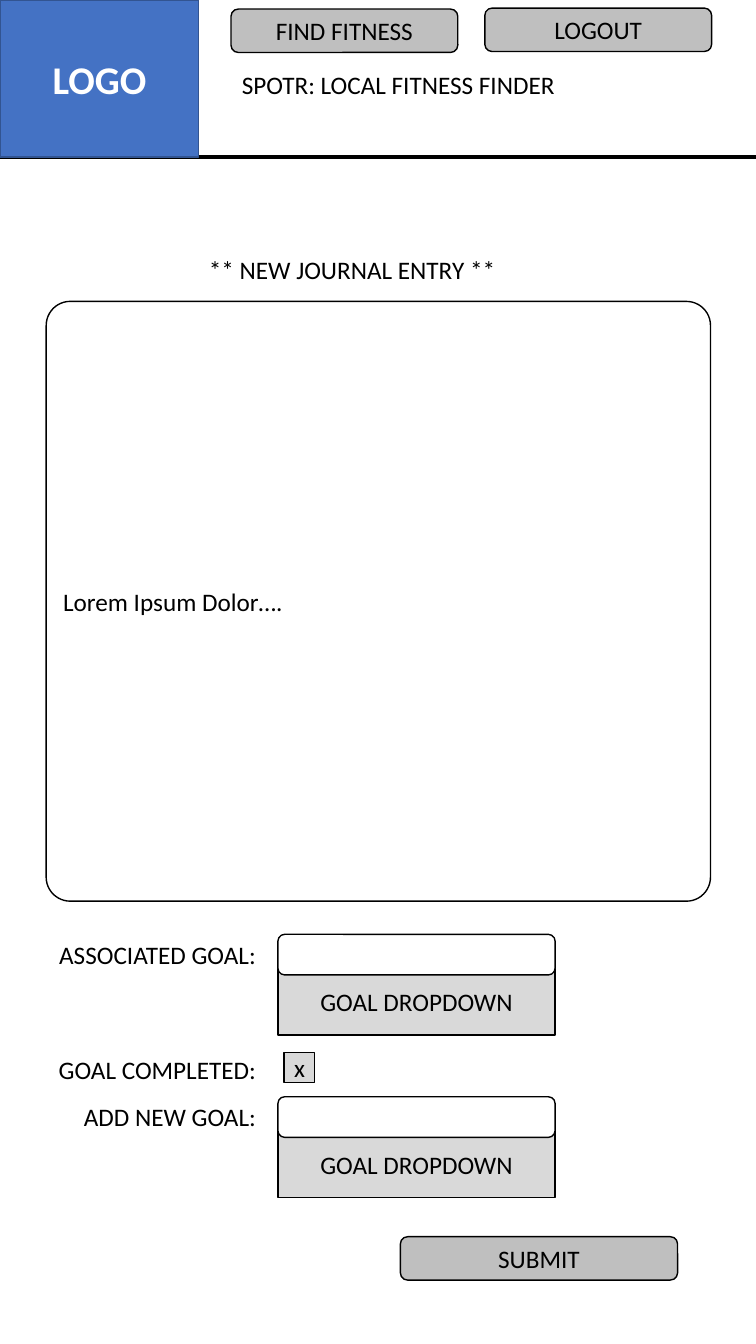
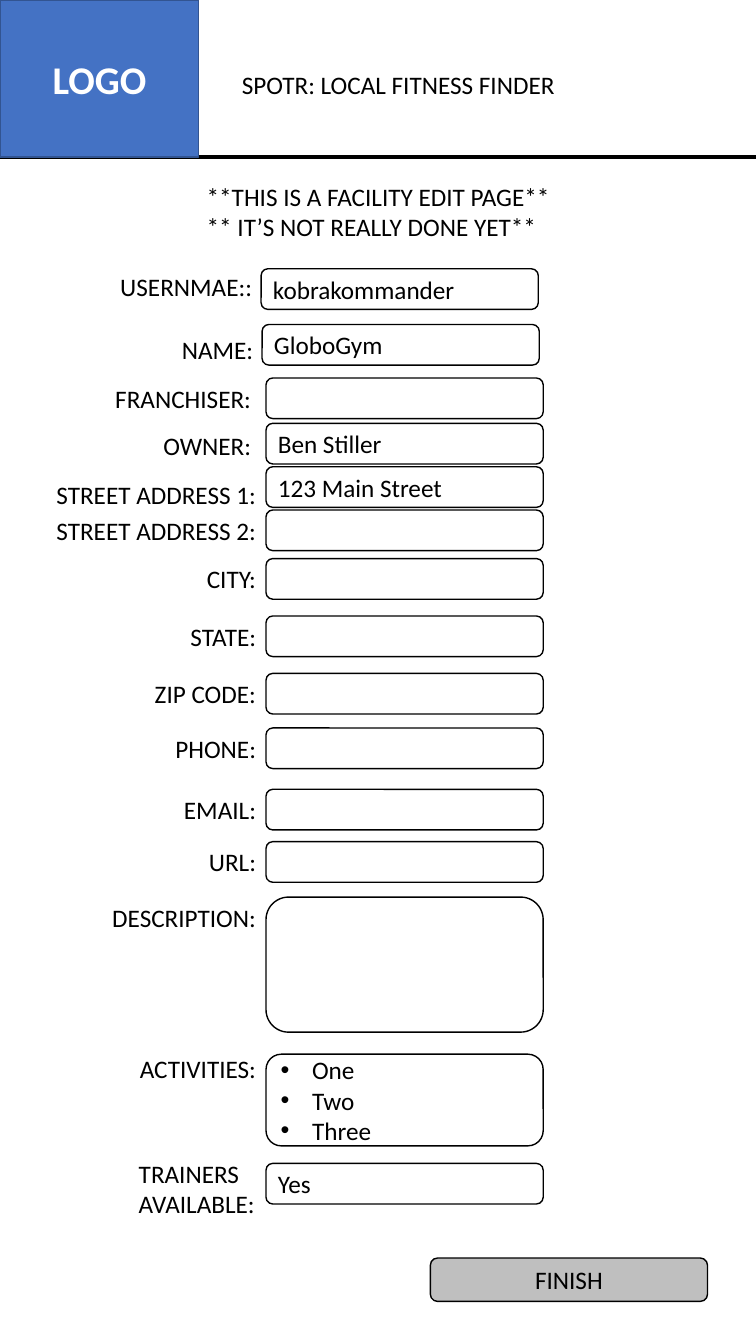
from dataclasses import dataclass

from lxml import etree
from pptx import Presentation
from pptx import util as u
from pptx.dml import color
from pptx.enum import shapes, text
from pptx.oxml import ns

LEFT, CENTER, RIGHT = text.PP_ALIGN.LEFT, text.PP_ALIGN.CENTER, text.PP_ALIGN.RIGHT
RECT = shapes.MSO_SHAPE.RECTANGLE
ROUNDED = shapes.MSO_SHAPE.ROUNDED_RECTANGLE


@dataclass(frozen=True)
class Theme:
    font: str = "Calibri"
    size: int = 18
    logo_size: int = 28
    ink: str = "000000"
    paper: str = "FFFFFF"
    accent: str = "4472C4"
    accent_edge: str = "325491"
    button: str = "BFBFBF"
    option: str = "D9D9D9"
    width: float = 540
    height: float = 960
    header: float = 112.3
    field_width: float = 198
    row: float = 29
    indent: float = 22.5


class Wireframe:
    """Draws the form pages of a mobile wireframe, with all lengths in points."""

    def __init__(self, theme):
        self.theme = theme
        self.deck = Presentation()
        self.deck.slide_width = u.Pt(theme.width)
        self.deck.slide_height = u.Pt(theme.height)
        self.page = None

    def style(self, frame, align=LEFT, size=None, ink=None, bold=False):
        for para in frame.paragraphs:
            para.alignment = align
            para.space_before = u.Pt(0)
            for span in para.runs:
                span.font.name = self.theme.font
                span.font.size = u.Pt(size or self.theme.size)
                span.font.color.rgb = color.RGBColor.from_string(ink or self.theme.ink)
                span.font.bold = bold

    def place(self, holder, left, top, width, height):
        holder.left, holder.top = u.Pt(left), u.Pt(top)
        holder.width, holder.height = u.Pt(width), u.Pt(height)
        holder.text_frame.auto_size = text.MSO_AUTO_SIZE.NONE

    def start(self, layout, heading, left, top, width, height):
        self.page = self.deck.slides.add_slide(self.deck.slide_layouts[layout])
        title = self.page.shapes.title
        self.place(title, left, top, width, height)
        title.text_frame.word_wrap = False
        title.text_frame.vertical_anchor = text.MSO_ANCHOR.TOP
        title.text_frame.paragraphs[0].text = heading
        self.style(title.text_frame)
        self.header()

    def header(self):
        theme = self.theme
        edge = u.Pt(theme.header)
        rule = self.page.shapes.add_connector(
            shapes.MSO_CONNECTOR.STRAIGHT, 0, edge, u.Pt(theme.width), edge)
        rule.line.color.rgb = color.RGBColor.from_string(theme.ink)
        rule.line.width = u.Pt(3)
        etree.SubElement(rule._element.spPr, ns.qn("a:effectLst"))
        self.label("SPOTR: LOCAL FITNESS FINDER", 406, 46, 240.4, align=LEFT)
        logo = self.box(RECT, 0, 0, 142, theme.header, theme.accent, "LOGO", CENTER)
        logo.line.color.rgb = color.RGBColor.from_string(theme.accent_edge)
        self.style(logo.text_frame, CENTER, theme.logo_size, theme.paper, True)

    def label(self, words, right, top, width, height=None, align=RIGHT):
        box = self.page.shapes.add_textbox(
            u.Pt(right - width), u.Pt(top), u.Pt(width), u.Pt(height or self.theme.row))
        frame = box.text_frame
        frame.word_wrap = False
        frame.auto_size = text.MSO_AUTO_SIZE.SHAPE_TO_FIT_TEXT
        frame.text = words
        self.style(frame, align)

    def box(self, kind, left, top, width, height, fill, words="", align=LEFT):
        box = self.page.shapes.add_shape(
            kind, u.Pt(left), u.Pt(top), u.Pt(width), u.Pt(height))
        box.shadow.inherit = False
        box.fill.solid()
        box.fill.fore_color.rgb = color.RGBColor.from_string(fill)
        box.line.color.rgb = color.RGBColor.from_string(self.theme.ink)
        box.line.width = u.Pt(1)
        if words:
            box.text_frame.text = words
            box.text_frame.vertical_anchor = text.MSO_ANCHOR.MIDDLE
            self.style(box.text_frame, align)
        return box

    def field(self, left, top, words="", height=None):
        self.box(ROUNDED, left, top, self.theme.field_width,
                 height or self.theme.row, self.theme.paper, words)

    def button(self, words, left, top, width):
        self.box(ROUNDED, left, top, width, 31, self.theme.button, words, CENTER)

    def dropdown(self, left, top):
        self.box(RECT, left, top + 24.5, self.theme.field_width, 47.5,
                 self.theme.option, "GOAL DROPDOWN", CENTER)
        self.field(left, top)

    def bullets(self, items, left, top, width, height):
        body = self.page.placeholders[1]
        self.page.shapes._spTree.append(body._element)
        self.place(body, left, top, width, height)
        frame = body.text_frame
        frame.vertical_anchor = text.MSO_ANCHOR.MIDDLE
        frame.margin_top = frame.margin_bottom = 0
        frame.text = "\n".join(items)
        self.style(frame)
        for para in frame.paragraphs:
            props = para._p.get_or_add_pPr()
            props.set("marL", str(u.Pt(self.theme.indent)))
            props.set("indent", str(-u.Pt(self.theme.indent)))


def journal_page(frame):
    frame.start(5, "** NEW JOURNAL ENTRY **", 142, 177.8, 221, 29)
    frame.button("FIND FITNESS", 165, 6.5, 162)
    frame.button("LOGOUT", 346.3, 5.8, 162)
    entry = frame.box(ROUNDED, 33, 215.3, 474.5, 428.4, frame.theme.paper,
                      "Lorem Ipsum Dolor….")
    entry.adjustments[0] = 0.04
    for words, top, width in (("ASSOCIATED GOAL:", 667.4, 156.2),
                              ("GOAL COMPLETED:", 749.5, 157),
                              ("ADD NEW GOAL:", 783.4, 139)):
        frame.label(words, 190, top, width)
    for top in (667.4, 783.4):
        frame.dropdown(198.5, top)
    frame.box(RECT, 203, 751.7, 21.6, 21.6, frame.theme.option, "x", CENTER)
    frame.button("SUBMIT", 286, 883.4, frame.theme.field_width)


def facility_page(frame):
    frame.start(1, "**THIS IS A FACILITY EDIT PAGE**\n** IT’S NOT REALLY DONE YET**",
                140.4, 126, 262, 51)
    rows = (
        ("USERNMAE::", 187.2, 190, 109.4, 186.5, 192, "kobrakommander"),
        ("NAME:", 188, 235.4, 66.2, 187.2, 231.8, "GloboGym"),
        ("FRANCHISER:", 186.5, 270, 112.3, 190, 270, ""),
        ("OWNER:", 186.5, 303.8, 77.8, 190, 302.4, "Ben Stiller"),
        ("STREET ADDRESS 1:", 190, 339, 158.4, 190, 333.4, "123 Main Street"),
    )
    for words, right, label_top, width, left, top, value in rows:
        frame.label(words, right, label_top, width)
        frame.field(left, top, value)
    level_rows = (
        ("STREET ADDRESS 2:", 364.3, 158.4, 29),
        ("CITY:", 399, 49.7, 29),
        ("STATE:", 440, 62, 29),
        ("ZIP CODE:", 481, 87.8, 29),
        ("PHONE:", 520, 72.7, 29),
        ("EMAIL:", 563.8, 66.2, 29),
        ("URL:", 601.2, 49, 29),
        ("DESCRIPTION:", 640.8, 118, 96.5),
    )
    for words, top, width, height in level_rows:
        frame.label(words, 190, top, width)
        frame.field(190, top, height=height)
    frame.label("ACTIVITIES:", 190, 748.8, 98)
    frame.field(190, 753, height=65.5)
    frame.bullets(("One", "Two", "Three"), 193.2, 753, 191.6, 65.5)
    frame.label("TRAINERS\nAVAILABLE:", 190, 823.7, 98, 51, LEFT)
    frame.field(190, 831, "Yes")
    frame.button("FINISH", 307.4, 898.6, frame.theme.field_width)


def main():
    frame = Wireframe(Theme())
    journal_page(frame)
    facility_page(frame)
    frame.deck.save("out.pptx")


if __name__ == "__main__":
    main()
